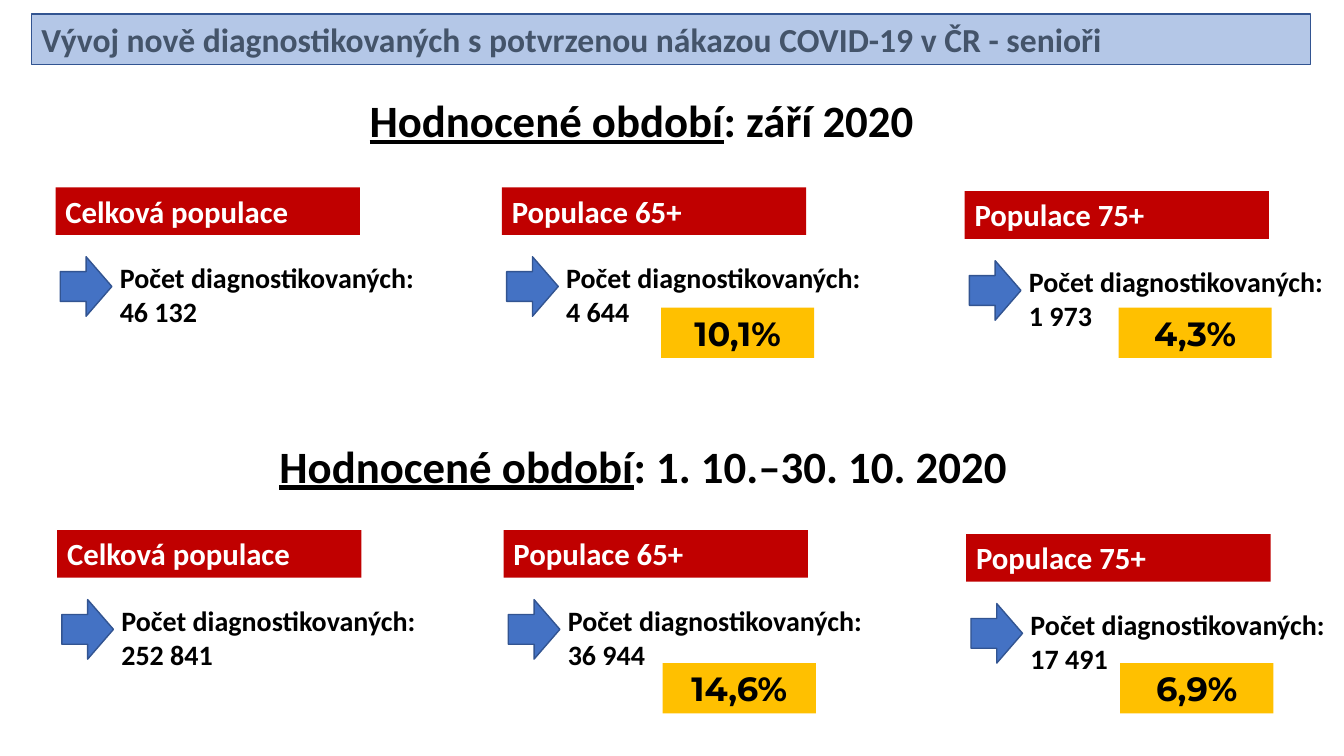
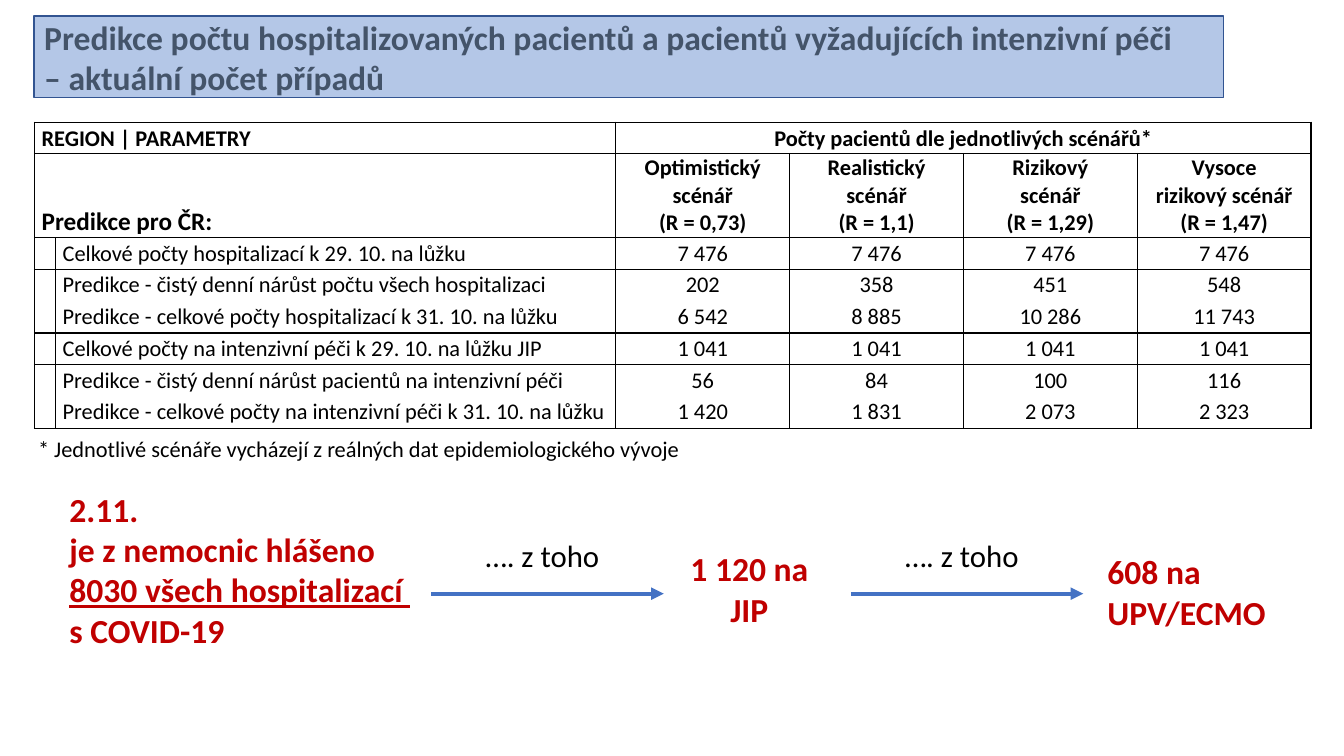
from dataclasses import dataclass

from lxml.etree import SubElement
from pptx import Presentation
from pptx.dml.color import RGBColor
from pptx.enum.shapes import MSO_CONNECTOR, MSO_SHAPE
from pptx.enum.text import MSO_ANCHOR, MSO_AUTO_SIZE, PP_ALIGN
from pptx.oxml.ns import qn
from pptx.util import Cm, Pt

LEFT, CENTER = PP_ALIGN.LEFT, PP_ALIGN.CENTER
TOP, MIDDLE, BOTTOM = MSO_ANCHOR.TOP, MSO_ANCHOR.MIDDLE, MSO_ANCHOR.BOTTOM
RECT, ARROW = MSO_SHAPE.RECTANGLE, MSO_SHAPE.RIGHT_ARROW
STRAIGHT = MSO_CONNECTOR.STRAIGHT
NO_FIT = MSO_AUTO_SIZE.NONE
TITLE_ONLY = 5


@dataclass(frozen=True)
class Theme:
    black: RGBColor = RGBColor(0x00, 0x00, 0x00)
    white: RGBColor = RGBColor(0xFF, 0xFF, 0xFF)
    band: RGBColor = RGBColor(0xB4, 0xC7, 0xE7)
    title: RGBColor = RGBColor(0x44, 0x54, 0x6A)
    outline: RGBColor = RGBColor(0x32, 0x54, 0x91)
    blue: RGBColor = RGBColor(0x44, 0x72, 0xC4)
    red: RGBColor = RGBColor(0xC0, 0x00, 0x00)
    amber: RGBColor = RGBColor(0xFF, 0xC0, 0x00)
    body_font: str = "Calibri"
    figure_font: str = "Montserrat"
    heading: int = 32
    large: int = 24
    label: int = 22
    body: int = 20
    region: int = 18
    small: int = 16


THEME = Theme()


def set_all(target, **values):
    for attribute, value in values.items():
        setattr(target, attribute, value)


def box(left, top, width, height):
    return Cm(left), Cm(top), Cm(width), Cm(height)


class Deck:
    def __init__(self):
        self.presentation = Presentation()
        set_all(self.presentation, slide_width=Cm(33.87), slide_height=Cm(19.05))
        self.slide = None

    def fill_text(self, frame, paragraphs, size, color=THEME.black, bold=True,
                  align=LEFT, spacing=None, font=THEME.body_font):
        """Each paragraph is a string or a list of (text, underlined) runs."""
        for index, content in enumerate(paragraphs):
            paragraph = frame.paragraphs[0] if index == 0 else frame.add_paragraph()
            set_all(paragraph, alignment=align, line_spacing=spacing)
            runs = [(content, False)] if isinstance(content, str) else content
            for text, underlined in runs:
                for number, line in enumerate(text.split("\n")):
                    if number:
                        paragraph.add_line_break()
                    run = paragraph.add_run()
                    run.text = line
                    set_all(run.font, name=font, size=Pt(size), bold=bold,
                            underline=underlined)
                    run.font.color.rgb = color

    def paint(self, shape, fill, outline=None):
        shape.fill.solid()
        shape.fill.fore_color.rgb = fill
        if outline is None:
            shape.line.fill.background()
        else:
            shape.line.color.rgb = outline
            shape.line.width = Pt(1)

    def add_slide(self, title, left, top, width, height):
        layout = self.presentation.slide_layouts[TITLE_ONLY]
        self.slide = self.presentation.slides.add_slide(layout)
        band = self.slide.shapes.title
        set_all(band, left=Cm(left), top=Cm(top), width=Cm(width),
                height=Cm(height))
        # Rounded outline for the title placeholder
        outline = SubElement(band._element.spPr, qn("a:prstGeom"), prst="roundRect")
        SubElement(outline, qn("a:avLst"))
        self.paint(band, THEME.band, THEME.outline)
        set_all(band.text_frame, word_wrap=True, auto_size=NO_FIT,
                vertical_anchor=MIDDLE)
        self.fill_text(band.text_frame, [title], THEME.large, THEME.title)

    def shape(self, kind, place, fill, outline=None):
        shape = self.slide.shapes.add_shape(kind, *box(*place))
        shape.shadow.inherit = False
        self.paint(shape, fill, outline)
        return shape

    def tag(self, place, text, fill, size, **style):
        frame = self.shape(RECT, place, fill).text_frame
        set_all(frame, word_wrap=True, vertical_anchor=TOP)
        self.fill_text(frame, [text], size, **style)

    def text(self, place, paragraphs, size, **style):
        frame = self.slide.shapes.add_textbox(*box(*place)).text_frame
        set_all(frame, word_wrap=True, auto_size=NO_FIT)
        self.fill_text(frame, paragraphs, size, **style)

    def arrow(self, start, end, height):
        arrow = self.slide.shapes.add_connector(
            STRAIGHT, Cm(start), Cm(height), Cm(end), Cm(height))
        arrow.line.color.rgb = THEME.blue
        arrow.line.width = Pt(3)
        properties = arrow._element.spPr
        SubElement(properties.find(qn("a:ln")), qn("a:tailEnd"), type="triangle")
        SubElement(properties, qn("a:effectLst"))

    def table(self, place, widths, heights):
        frame = self.slide.shapes.add_table(len(heights), len(widths), *box(*place))
        table = frame.table
        set_all(table, first_row=False, horz_banding=False)
        for column, width in zip(table.columns, widths):
            column.width = Cm(width)
        for row, height in zip(table.rows, heights):
            row.height = Cm(height)
        return table

    def cell(self, cell, paragraphs=(), size=THEME.small, open_sides="",
             margin=0.18, anchor=MIDDLE, **style):
        set_all(cell, margin_left=Cm(margin), margin_right=Cm(margin),
                margin_top=0, margin_bottom=0, vertical_anchor=anchor)
        properties = cell._tc.get_or_add_tcPr()
        for side in "LRTB":
            border = SubElement(properties, qn(f"a:ln{side}"), w=str(Pt(1)))
            if side in open_sides:
                SubElement(border, qn("a:noFill"))
            else:
                fill = SubElement(border, qn("a:solidFill"))
                SubElement(fill, qn("a:srgbClr"), val=str(THEME.black))
        cell.fill.background()
        self.fill_text(cell.text_frame, paragraphs, size, **style)


# Slide 1: periods, each with three population groups
COLUMNS = [("Celková populace", 1.4, 0), ("Populace 65+", 12.65, 0),
           ("Populace 75+", 24.31, 0.1)]
BADGE_LEFTS = [None, 16.66, 28.19]
PERIODS = [
    # period, heading top, group top, badge top, shift, (count, share) per group
    ("září 2020", 2.21, 4.72, 7.75, 0,
     [("46 132", None), ("4 644", "10,1%"), ("1 973", "4,3%")]),
    ("1. 10.–30. 10. 2020", 10.92, 13.36, 16.71, 0.04,
     [("252 841", None), ("36 944", "14,6%"), ("17 491", "6,9%")]),
]


def seniors_slide(deck):
    deck.add_slide("Vývoj nově diagnostikovaných s potvrzenou nákazou COVID-19 "
                   "v ČR - senioři", 0.79, 0.35, 32.23, 1.27)
    for period, heading_top, group_top, badge_top, shift, figures in PERIODS:
        deck.text((2.39 + shift, heading_top, 27.56, 1.63),
                  [[("Hodnocené období", True), (f": {period}", False)]],
                  THEME.heading, align=CENTER)
        for (group, left, drop), badge_left, (count, share) in zip(
                COLUMNS, BADGE_LEFTS, figures):
            x, y = left + shift, group_top + drop
            deck.shape(ARROW, (x + 0.12, y + 1.75, 1.3, 1.5),
                       THEME.blue, THEME.outline)
            deck.text((x + 1.37, y + 1.73, 8.15, 1.96),
                      [f"Počet diagnostikovaných: {count}"], THEME.body)
            deck.tag((x, y, 7.67, 1.2), group, THEME.red, THEME.label,
                     color=THEME.white)
            if share:
                deck.tag((badge_left + shift, badge_top, 3.86, 1.27), share,
                         THEME.amber, THEME.large, align=CENTER,
                         font=THEME.figure_font)


# Slide 2: hospital scenarios and current state
SCENARIOS = [["Optimistický scénář", "(R = 0,73)"],
             ["Realistický scénář", "(R = 1,1)"],
             ["Rizikový", "scénář", "(R = 1,29)"],
             ["Vysoce", "rizikový scénář", "(R = 1,47)"]]
# label, values, sides without a border
PREDICTIONS = [
    ("Celkové počty hospitalizací k 29. 10. na lůžku", ["7 476"] * 4, ""),
    ("Predikce - čistý denní nárůst počtu všech hospitalizaci",
     ["202", "358", "451", "548"], "B"),
    ("Predikce - celkové počty hospitalizací k 31. 10. na lůžku",
     ["6 542", "8 885", "10 286", "11 743"], "T"),
    ("Celkové počty na intenzivní péči k 29. 10. na lůžku JIP", ["1 041"] * 4, ""),
    ("Predikce - čistý denní nárůst pacientů na intenzivní péči",
     ["56", "84", "100", "116"], "B"),
    ("Predikce - celkové počty na intenzivní péči k 31. 10. na lůžku",
     ["1 420", "1 831", "2 073", "2 323"], "T"),
]


def scenario_table(deck):
    table = deck.table((0.87, 3.08, 32.15, 7.7), [0.53, 14.12] + [4.38] * 4,
                       [0.79, 2.12] + [0.8] * 6)
    for row, first, last in ((0, 0, 1), (0, 2, 5), (1, 0, 1)):
        table.cell(row, first).merge(table.cell(row, last))
    # Header rows
    for row, column in ((0, 1), (0, 3), (0, 4), (0, 5), (1, 1)):
        deck.cell(table.cell(row, column), margin=0)
    deck.cell(table.cell(0, 0), ["REGION | PARAMETRY"], spacing=1.07)
    deck.cell(table.cell(0, 2), ["Počty pacientů dle jednotlivých scénářů*"],
              align=CENTER, spacing=1.07)
    deck.cell(table.cell(1, 0), ["Predikce pro ČR:"], THEME.region,
              anchor=BOTTOM, spacing=1.07)
    for column, scenario in enumerate(SCENARIOS, 2):
        deck.cell(table.cell(1, column), scenario, align=CENTER)
    # Prediction rows
    for row, (label, values, open_sides) in enumerate(PREDICTIONS, 2):
        deck.cell(table.cell(row, 0), open_sides=open_sides, margin=0)
        deck.cell(table.cell(row, 1), [label], open_sides=open_sides, bold=False)
        for column, value in enumerate(values, 2):
            deck.cell(table.cell(row, column), [value], open_sides=open_sides,
                      margin=0.03, bold=False, align=CENTER)


def prediction_slide(deck):
    deck.add_slide("Predikce počtu hospitalizovaných pacientů a pacientů "
                   "vyžadujících intenzivní péči\n– aktuální počet případů",
                   0.86, 0.4, 29.97, 2.06)
    scenario_table(deck)
    deck.text((0.71, 10.8, 22.76, 0.97),
              ["* Jednotlivé scénáře vycházejí z reálných dat "
               "epidemiologického vývoje"],
              THEME.small, bold=False, spacing=1.07)

    # Current state, from all patients to the most severe
    state = {"size": THEME.large, "color": THEME.red}
    deck.text((1.5, 12.19, 9.37, 4.37),
              ["2.11.", "je z nemocnic hlášeno",
               [("8030 všech hospitalizací ", True)], "s COVID-19"], **state)
    deck.text((16.74, 13.69, 4.29, 2.31), ["1 120 na JIP"], align=CENTER, **state)
    deck.text((27.66, 13.77, 5.87, 2.31), ["608 na UPV/ECMO"], **state)
    for start in (10.87, 21.44):
        deck.arrow(start, start + 5.86, 14.96)
        deck.text((start - 0.5, 13.34, 6.6, 1.27), ["…. z toho"], THEME.label,
                  bold=False, align=CENTER, spacing=1.07)


def main():
    deck = Deck()
    seniors_slide(deck)
    prediction_slide(deck)
    deck.presentation.save("out.pptx")


if __name__ == "__main__":
    main()
